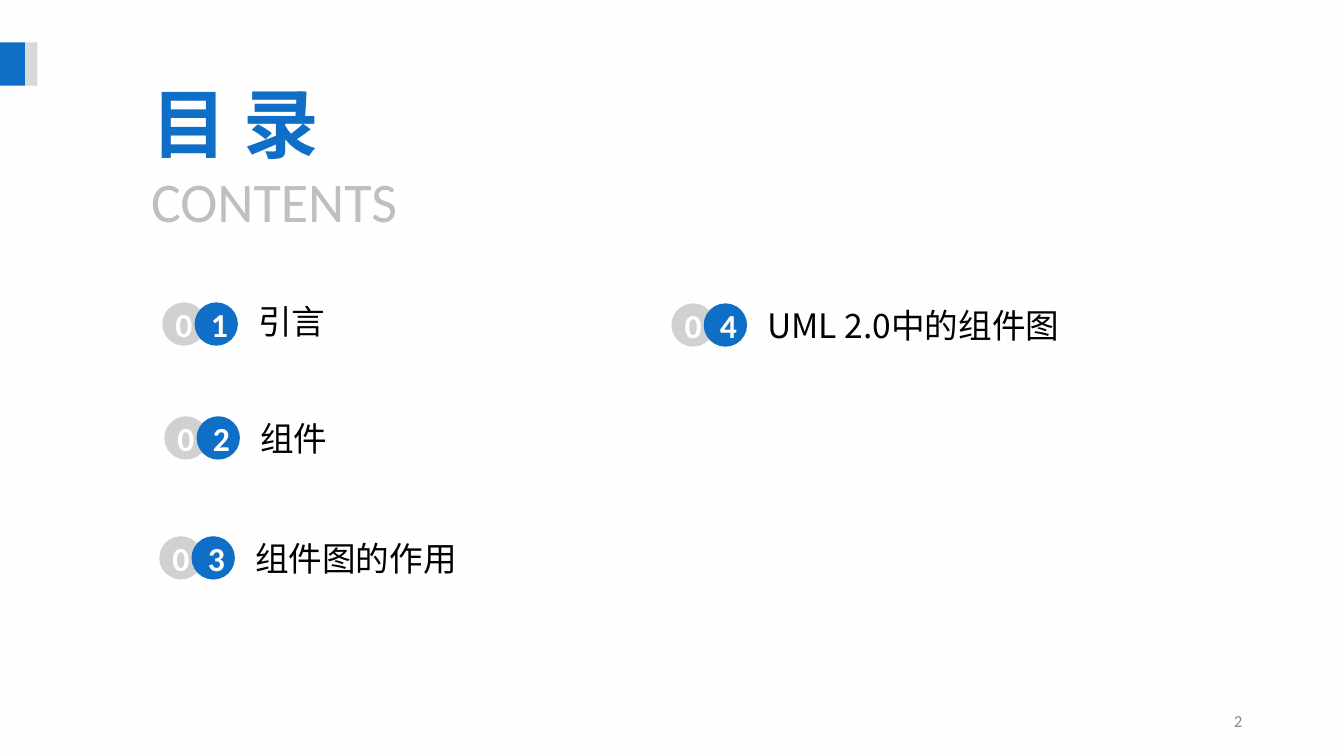
from lxml.etree import SubElement
from pptx import Presentation
from pptx.dml.color import RGBColor
from pptx.enum.dml import MSO_PATTERN
from pptx.enum.shapes import MSO_SHAPE
from pptx.enum.text import MSO_ANCHOR, PP_ALIGN
from pptx.oxml.ns import qn
from pptx.util import Inches, Pt

# number, label, left, top, line spacing
CONTENTS = [
    ("1", "引言", 1.61, 3.0, 0.9),
    ("2", "组件", 1.63, 4.13, 1.0),
    ("3", "组件图的作用", 1.58, 5.32, 1.0),
    ("4", "UML 2.0中的组件图", 6.66, 3.01, 1.0),
]
TITLE, SUBTITLE, PAGE_NUMBER = "目 录", "CONTENTS", "2"

THEME = {
    "blue": "0F6FC6", "bar": "D9D9D9", "circle": "D1D1D1", "subtitle": "BFBFBF",
    "white": "FFFFFF", "black": "000000", "number": "898989", "stripe": "FAFBFD",
    "latin": "Calibri", "chinese": "Noto Sans CJK SC",
    "title_size": 54, "subtitle_size": 40, "item_size": 24, "number_size": 12,
}
DIAMETER = 0.43
CIRCLE_STEP = 0.32
LABEL_OFFSET = 0.75
LABEL_WIDTH, LABEL_HEIGHT = 3.77, 0.66


def color(name):
    return RGBColor.from_string(THEME[name])


def write(shape, text, size, ink, font="latin", bold=False, align=PP_ALIGN.LEFT,
          anchor=MSO_ANCHOR.MIDDLE, margins=None, spacing=None):
    frame = shape.text_frame
    frame.word_wrap = True
    frame.vertical_anchor = anchor
    if margins:
        (frame.margin_left, frame.margin_top,
         frame.margin_right, frame.margin_bottom) = map(Inches, margins)
    para = frame.paragraphs[0]
    para.alignment = align
    para.line_spacing = spacing
    span = para.add_run()
    span.text = text
    span.font.size = Pt(THEME[size])
    span.font.bold = bold
    span.font.color.rgb = color(ink)
    span.font.name = THEME[font]
    east_asian = SubElement(span.font._element, qn("a:ea"))
    east_asian.set("typeface", THEME["chinese"])


def add_solid(shapes, kind, left, top, width, height, fill):
    shape = shapes.add_shape(kind, Inches(left), Inches(top), Inches(width), Inches(height))
    shape.shadow.inherit = False
    shape.fill.solid()
    shape.fill.fore_color.rgb = color(fill)
    shape.line.fill.background()
    return shape


def add_text(shapes, left, top, width, height, text, **style):
    box = shapes.add_textbox(Inches(left), Inches(top), Inches(width), Inches(height))
    write(box, text, **style)


def add_item(page, number, label, left, top, spacing):
    """Group two overlapping number circles with their label."""
    shapes = page.shapes.add_group_shape().shapes
    circles = [("0", "circle", (0, 0, 0, 0)), (number, "blue", None)]
    for index, (digit, fill, margins) in enumerate(circles):
        circle = add_solid(shapes, MSO_SHAPE.OVAL, left + index * CIRCLE_STEP, top,
                           DIAMETER, DIAMETER, fill)
        write(circle, digit, size="item_size", ink="white", bold=True,
              align=PP_ALIGN.CENTER, margins=margins)
    add_text(shapes, left + LABEL_OFFSET, top + (DIAMETER - LABEL_HEIGHT) / 2,
             LABEL_WIDTH, LABEL_HEIGHT, label, size="item_size", ink="black",
             font="chinese", margins=(0.2, 0, 0, 0), spacing=spacing)


def main():
    deck = Presentation()
    deck.slide_width, deck.slide_height = Inches(13.33), Inches(7.5)
    page = deck.slides.add_slide(deck.slide_layouts[6])

    backdrop = page.background.fill
    backdrop.patterned()
    backdrop.pattern = MSO_PATTERN.WIDE_UPWARD_DIAGONAL
    backdrop.fore_color.rgb = color("stripe")
    backdrop.back_color.rgb = color("white")

    marker = page.shapes.add_group_shape().shapes
    add_solid(marker, MSO_SHAPE.RECTANGLE, 0, 0.42, 0.25, 0.43, "blue")
    add_solid(marker, MSO_SHAPE.RECTANGLE, 0.25, 0.42, 0.12, 0.43, "bar")

    add_text(page.shapes, 1.4, 0.71, 2.69, 1.01, TITLE, size="title_size", ink="blue",
             font="chinese", bold=True, anchor=MSO_ANCHOR.TOP)
    add_text(page.shapes, 1.4, 1.6, 2.69, 0.77, SUBTITLE, size="subtitle_size",
             ink="subtitle", anchor=MSO_ANCHOR.TOP)
    for item in CONTENTS:
        add_item(page, *item)
    add_text(page.shapes, 9.42, 6.95, 3, 0.4, PAGE_NUMBER, size="number_size",
             ink="number", align=PP_ALIGN.RIGHT)
    deck.save("out.pptx")


if __name__ == "__main__":
    main()
